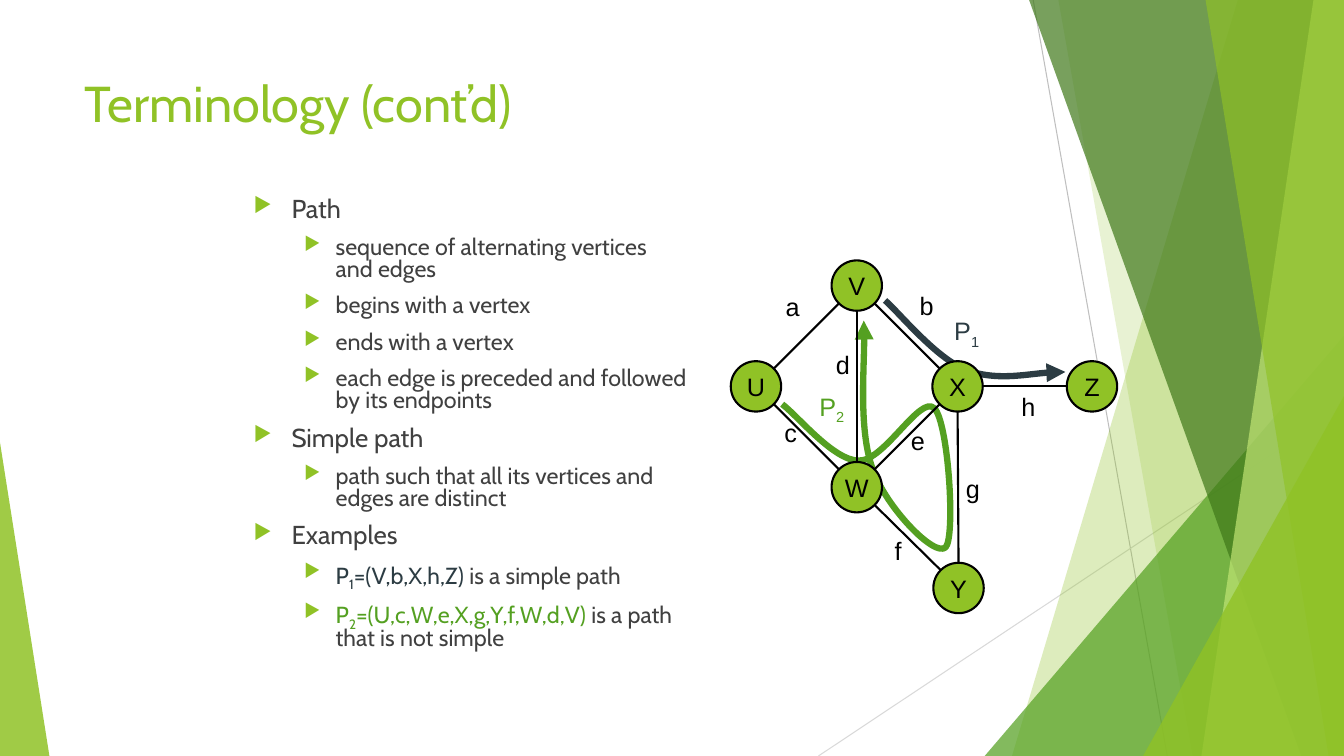
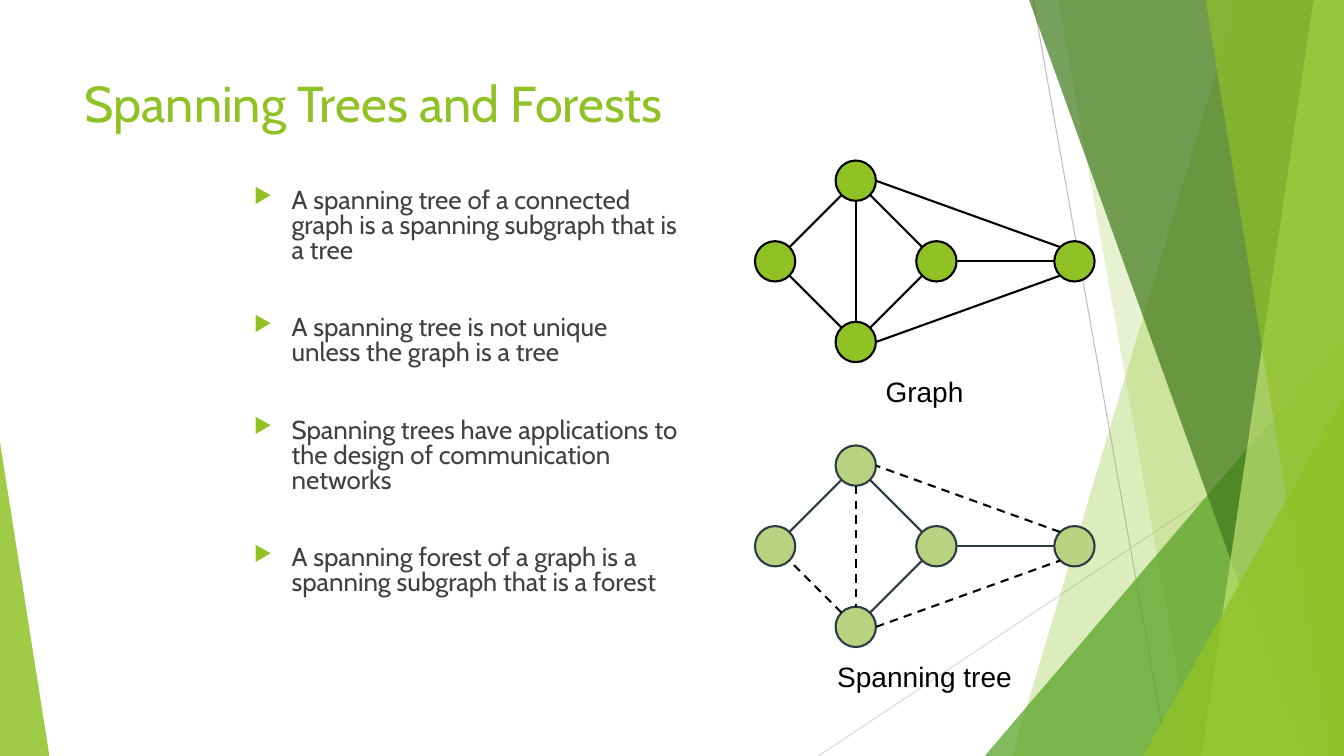
"""Build two slides on graph terminology and spanning trees."""
from dataclasses import dataclass
from math import sqrt

from lxml.etree import SubElement
from pptx import Presentation
from pptx.dml.color import RGBColor
from pptx.enum.dml import MSO_LINE
from pptx.enum.shapes import MSO_CONNECTOR, MSO_SHAPE
from pptx.enum.text import MSO_ANCHOR, PP_ALIGN
from pptx.oxml.ns import qn
from pptx.util import Pt


@dataclass(frozen=True)
class Theme:
    lime: str = "90C226"
    green: str = "54A021"
    forest: str = "3F7819"
    pale: str = "C0E474"
    sage: str = "B9D181"
    slate: str = "2C3C43"
    body: str = "404040"
    black: str = "000000"
    rule: str = "BFBFBF"
    light_rule: str = "D9D9D9"
    text_font: str = "Cabin"
    graph_font: str = "Arial"
    bullet_font: str = "OpenSymbol"
    title_size: float = 36
    body_sizes: tuple = (18.5, 16.65)
    label_size: float = 18
    caption_size: float = 20
    path_width: float = 4.5
    edge_width: float = 1.5
    rule_width: float = 0.75


THEME = Theme()
WIDTH, HEIGHT = 960, 540
TITLE_BOX = (53.3, 48.2, 676.8, 103.7)
INDENTS = ((27, -27), (58.5, -22.5))

BACKGROUND_RULES = [
    ((738, 0), (833.8, HEIGHT), THEME.rule),
    ((WIDTH, 290.2), (584.6, HEIGHT), THEME.light_rule),
]
BACKGROUND_AREAS = [
    ("band", (884.2, 722.9), THEME.lime, 30),
    ("band", (756, 851.8), THEME.lime, 20),
    ("triangle", (703.4, 239.8, 256.6, 1), THEME.green, 72),
    ("band", (735.1, 929.5), THEME.forest, 70),
    ("band", (938.2, 858.2), THEME.pale, 70),
    ("band", (861.1, 949), THEME.lime, 65),
    ("triangle", (816.5, 283, 143.5, 1), THEME.lime, 80),
    ("triangle", (0, 316.1, 35.3, 0), THEME.lime, 85),
]

TERMS = [
    (0, "Path"),
    (1, "sequence of alternating vertices and edges"),
    (1, "begins with a vertex"),
    (1, "ends with a vertex"),
    (1, "each edge is preceded and followed by its endpoints"),
    (0, "Simple path"),
    (1, "path such that all its vertices and edges are distinct"),
    (0, "Examples"),
    (1, [("P", THEME.slate), ("1", THEME.slate, True),
         ("=(V,b,X,h,Z)", THEME.slate), (" is a simple path", THEME.body)]),
    (1, [("P", THEME.green), ("2", THEME.green, True),
         ("=(U,c,W,e,X,g,Y,f,W,d,V)", THEME.green),
         (" is a path that is not simple", THEME.body)]),
]
FACTS = [
    (0, "A spanning tree of a connected graph is a spanning subgraph that is a tree"),
    (0, "A spanning tree is not unique unless the graph is a tree"),
    (0, "Spanning trees have applications to the design of communication networks"),
    (0, "A spanning forest of a graph is a spanning subgraph that is a forest"),
]

PATH_VERTICES = {"X": (684, 276), "U": (540, 276), "V": (612, 204),
                 "W": (612, 348), "Z": (780, 276), "Y": (684.7, 420)}
DIAMOND_EDGES = [("V", "SW", "U", "NE"), ("W", "NW", "U", "SE"),
                 ("W", "NE", "X", "SW"), ("V", "SE", "X", "NW"),
                 ("V", "S", "W", "N"), ("X", "E", "Z", "W")]
PATH_EDGES = DIAMOND_EDGES + [("W", "SE", "Y", "NW"), ("X", "S", "Y", "N")]
SPANNING_EDGES = DIAMOND_EDGES + [("W", "E", "Z", "SW"), ("Z", "NW", "V", "E")]
DROPPED_EDGES = {"WU", "VW", "WZ", "ZV"}
EDGE_LABELS = {"a": (566.2, 219), "c": (564.8, 309), "b": (661.9, 218.4),
               "e": (655.6, 314.6), "d": (602, 260.6), "f": (641.5, 393),
               "g": (695, 349.2), "h": (734.6, 290.2)}
PATHS = [
    ("2", THEME.green, (594.2, 291.8), [
        (558.7, 288.7), (570.2, 297.4), (595.4, 329), (613.4, 329),
        (631.4, 329.8), (657.4, 281.5), (667.4, 291.6),
        (677.5, 301.7), (682.6, 383.8), (675.4, 391),
        (667.4, 398.2), (632.9, 362.2), (623.5, 335.5),
        (613.4, 308.2), (618.5, 246.2), (617, 229)]),
    ("1", THEME.slate, (690.5, 237.8), [
        (632.2, 214.6), (641.5, 222.5), (668.2, 255.6), (689.8, 264.2),
        (711.4, 272.2), (746.6, 265), (761, 265.7)]),
]
SPANNING_GRAPHS = [
    ("Graph", 186.7, THEME.lime, THEME.black, set()),
    ("Spanning tree", 390.2, THEME.sage, THEME.slate, DROPPED_EDGES),
]


def points(*values):
    return [Pt(value) for value in values]


def apply_format(target, **values):
    for name, value in values.items():
        setattr(target, name, value)


def style_line(line, color, width, dashed=False):
    line.color.rgb = RGBColor.from_string(color)
    line.width = Pt(width)
    if dashed:
        line.dash_style = MSO_LINE.DASH


def style_fill(shape, color, opacity=100):
    shape.shadow.inherit = False
    shape.fill.solid()
    shape.fill.fore_color.rgb = RGBColor.from_string(color)
    if opacity < 100:
        color_element = shape._element.spPr.find(qn("a:solidFill"))[0]
        SubElement(color_element, qn("a:alpha"), val=str(opacity * 1000))


def add_line(slide, start, end, color, width, dashed=False):
    connector = slide.shapes.add_connector(
        MSO_CONNECTOR.STRAIGHT, *points(*start, *end))
    style_line(connector.line, color, width, dashed)
    SubElement(connector._element.spPr, qn("a:effectLst"))


def add_outline(slide, corners, close):
    first, *rest = [tuple(points(*corner)) for corner in corners]
    builder = slide.shapes.build_freeform(*first)
    builder.add_line_segments(rest, close=close)
    return builder.convert_to_shape()


def add_runs(paragraph, runs, font_name, size):
    for text, color, *subscript in runs:
        run = paragraph.add_run()
        run.text = text
        apply_format(run.font, name=font_name, size=Pt(size))
        run.font.color.rgb = RGBColor.from_string(color)
        if subscript:
            run._r.get_or_add_rPr().set("baseline", "-25000")


def add_box(slide, box):
    frame = slide.shapes.add_textbox(*points(*box)).text_frame
    frame.word_wrap = True
    return frame


def center_text(frame, runs, size):
    apply_format(frame, word_wrap=True, vertical_anchor=MSO_ANCHOR.MIDDLE,
                 margin_left=0, margin_right=0, margin_top=0, margin_bottom=0)
    frame.paragraphs[0].alignment = PP_ALIGN.CENTER
    add_runs(frame.paragraphs[0], runs, THEME.graph_font, size)


def add_label(slide, center, runs, size=THEME.label_size, width=36):
    x, y = center
    height = 28.8
    frame = add_box(slide, (x - width / 2, y - height / 2, width, height))
    center_text(frame, runs, size)


def add_bullet(paragraph, level):
    margin, indent = INDENTS[level]
    properties = paragraph._p.get_or_add_pPr()
    properties.set("marL", str(Pt(margin)))
    properties.set("indent", str(Pt(indent)))
    bullet_color = SubElement(properties, qn("a:buClr"))
    SubElement(bullet_color, qn("a:srgbClr"), val=THEME.lime)
    SubElement(properties, qn("a:buSzPct"), val="80000")
    SubElement(properties, qn("a:buFont"), typeface=THEME.bullet_font)
    SubElement(properties, qn("a:buChar"), char="▶")


def add_list(slide, box, items, gap):
    frame = add_box(slide, box)
    for index, (level, content) in enumerate(items):
        paragraph = frame.add_paragraph() if index else frame.paragraphs[0]
        add_bullet(paragraph, level)
        apply_format(paragraph, level=level, line_spacing=0.8,
                     space_before=Pt(gap if index else 0))
        runs = [(content, THEME.body)] if isinstance(content, str) else content
        add_runs(paragraph, runs, THEME.text_font, THEME.body_sizes[level])


def add_background(slide):
    for start, end, color in BACKGROUND_RULES:
        add_line(slide, start, end, color, THEME.rule_width)
    for kind, geometry, color, opacity in BACKGROUND_AREAS:
        if kind == "band":
            top, bottom = geometry
            area = add_outline(slide, [(top, 0), (WIDTH, 0), (WIDTH, HEIGHT),
                                       (bottom, HEIGHT)], close=True)
        else:
            left, top, width, apex = geometry
            area = slide.shapes.add_shape(
                MSO_SHAPE.ISOSCELES_TRIANGLE,
                *points(left, top, width, HEIGHT - top))
            area.adjustments[0] = apex
        style_fill(area, color, opacity)
        area.line.fill.background()


def add_titled_slide(presentation, title):
    slide = presentation.slides.add_slide(presentation.slide_layouts[6])
    add_background(slide)
    frame = add_box(slide, TITLE_BOX)
    add_runs(frame.paragraphs[0], [(title, THEME.lime)],
             THEME.text_font, THEME.title_size)
    return slide


def rim_point(center, side, radius):
    dx = ("E" in side) - ("W" in side)
    dy = ("S" in side) - ("N" in side)
    reach = radius / sqrt(dx * dx + dy * dy)
    return center[0] + dx * reach, center[1] + dy * reach


def add_graph(slide, vertices, edges, radius, fill, outline,
              dropped=(), named=False):
    for name, (x, y) in vertices.items():
        vertex = slide.shapes.add_shape(
            MSO_SHAPE.OVAL,
            *points(x - radius, y - radius, 2 * radius, 2 * radius))
        style_fill(vertex, fill)
        style_line(vertex.line, outline, THEME.edge_width)
        if named:
            center_text(vertex.text_frame, [(name, THEME.black)], THEME.label_size)
    for start, start_side, end, end_side in edges:
        dashed = start + end in dropped
        add_line(slide, rim_point(vertices[start], start_side, radius),
                 rim_point(vertices[end], end_side, radius),
                 THEME.black if dashed else outline, THEME.edge_width, dashed)


def bend_segments(shape):
    outline = next(shape._element.iter(qn("a:path")))
    segments = outline.findall(qn("a:lnTo"))
    for first in range(0, len(segments), 3):
        bezier = SubElement(outline, qn("a:cubicBezTo"))
        for segment in segments[first:first + 3]:
            bezier.append(segment[0])
            outline.remove(segment)


def add_path(slide, controls, color):
    curve = add_outline(slide, controls, close=False)
    bend_segments(curve)
    curve.shadow.inherit = False
    curve.fill.background()
    style_line(curve.line, color, THEME.path_width)
    SubElement(curve.line._get_or_add_ln(), qn("a:tailEnd"), type="triangle")


def build_terminology(presentation):
    slide = add_titled_slide(presentation, "Terminology (cont’d)")
    add_list(slide, (174.2, 138.2, 324, 336.2), TERMS, gap=10)
    for _, color, _, controls in PATHS:
        add_path(slide, controls, color)
    add_graph(slide, PATH_VERTICES, PATH_EDGES, 18, THEME.lime, THEME.black, named=True)
    for text, center in EDGE_LABELS.items():
        add_label(slide, center, [(text, THEME.black)])
    for number, color, center, _ in PATHS:
        add_label(slide, center, [("P", color), (number, color, True)])


def build_spanning(presentation):
    slide = add_titled_slide(presentation, "Spanning Trees and Forests")
    add_list(slide, (174.2, 131.8, 318.2, 334), FACTS, gap=37.7)
    x, step = 611.3, 57.6
    for caption, y, fill, outline, dropped in SPANNING_GRAPHS:
        vertices = {"X": (x + step, y), "U": (x - step, y), "V": (x, y - step),
                    "W": (x, y + step), "Z": (767.5, y)}
        add_graph(slide, vertices, SPANNING_EDGES, 14.4, fill, outline, dropped)
        add_label(slide, (660.4, y + 93), [(caption, THEME.black)],
                  THEME.caption_size, 220)


def main():
    presentation = Presentation()
    apply_format(presentation, slide_width=Pt(WIDTH), slide_height=Pt(HEIGHT))
    build_terminology(presentation)
    build_spanning(presentation)
    presentation.save("out.pptx")


if __name__ == "__main__":
    main()
